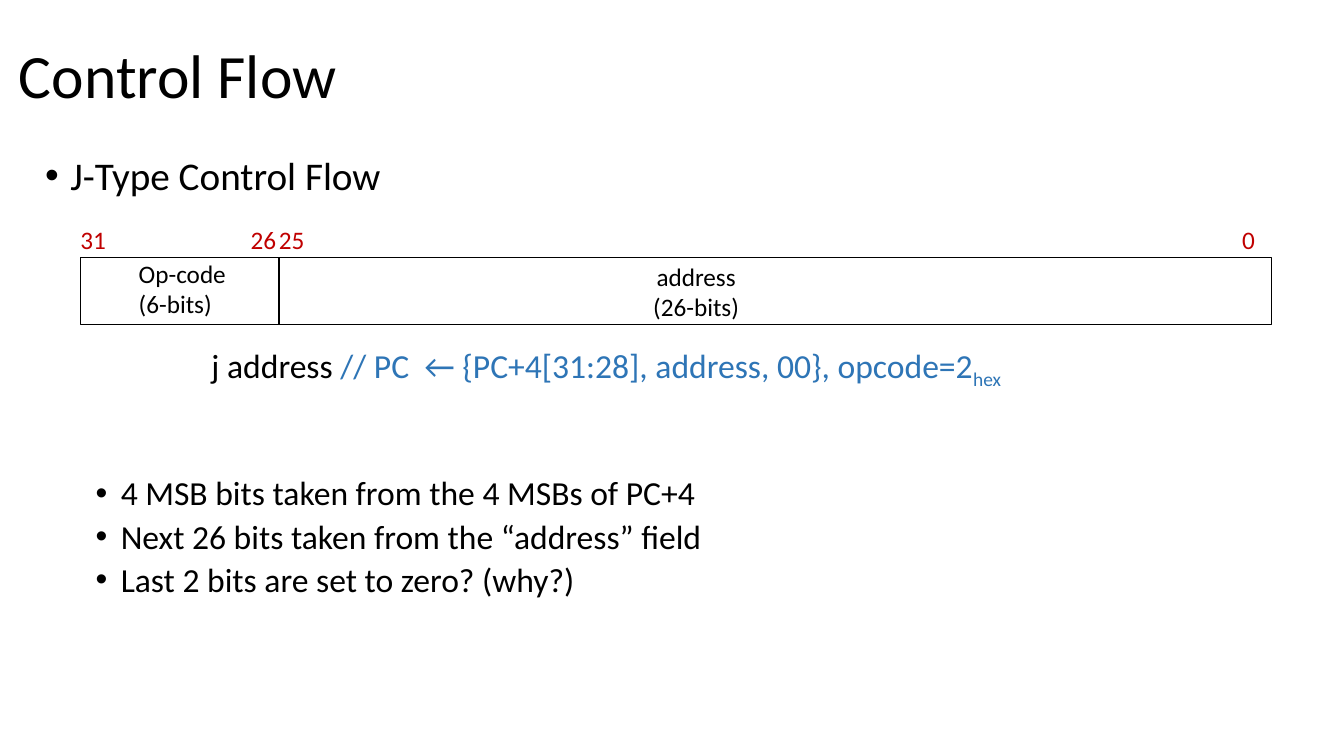
import dataclasses

import lxml.etree
import pptx
import pptx.dml.color
import pptx.enum.shapes
import pptx.enum.text
import pptx.oxml.ns
import pptx.util

Pt = pptx.util.Pt
ALIGN = pptx.enum.text.PP_ALIGN
ANCHOR = pptx.enum.text.MSO_ANCHOR


@dataclasses.dataclass(frozen=True)
class Theme:
    """Colours, font and type sizes of the slide."""
    font: str = "Calibri"
    ink: str = "000000"
    bit: str = "C00000"
    comment: str = "2E75B6"
    title: int = 44
    heading: int = 28
    body: int = 24
    label: int = 18


T = Theme()


def rgb(value):
    """Return the colour for a hex string."""
    return pptx.dml.color.RGBColor.from_string(value)


def add_bullet(p, indent):
    """Give a paragraph a hanging round bullet."""
    pPr = p._p.get_or_add_pPr()
    pPr.set("marL", str(Pt(indent)))
    pPr.set("indent", str(Pt(-18)))
    for tag, key, value in (("a:buFont", "typeface", "Arial"),
                            ("a:buChar", "char", "•")):
        lxml.etree.SubElement(pPr, pptx.oxml.ns.qn(tag)).set(key, value)


def add_text(s, box, paragraphs, *, size, color=T.ink, align=ALIGN.LEFT,
             anchor=ANCHOR.TOP, wrap=True, spacing=1.0, before=0,
             bullet=None, inset=7.2):
    """Add a text box; a paragraph is a string or a list of (text, colour, baseline)."""
    sp = s.shapes.add_textbox(*map(Pt, box))
    tf = sp.text_frame
    tf.word_wrap = wrap
    tf.vertical_anchor = anchor
    tf.margin_left = tf.margin_right = Pt(inset)
    for i, runs in enumerate(paragraphs):
        p = tf.add_paragraph() if i else tf.paragraphs[0]
        p.alignment = align
        p.line_spacing = spacing
        p.space_before = Pt(before)
        if bullet is not None:
            add_bullet(p, bullet)
        if isinstance(runs, str):
            runs = [(runs, color, 0)]
        for text, run_color, baseline in runs:
            r = p.add_run()
            r.text = text
            r.font.name = T.font
            r.font.size = Pt(size)
            r.font.color.rgb = rgb(run_color)
            if baseline:
                r._r.get_or_add_rPr().set("baseline", str(baseline * 1000))
    return sp


def add_title(s, box):
    """Add the slide title."""
    add_text(s, box, ["Control Flow"], size=T.title, anchor=ANCHOR.MIDDLE,
             spacing=0.9)


def add_points(s, box):
    """Add the heading and the points below the instruction."""
    x, y, w, h = box
    add_text(s, (x, y, w, 40), ["J-Type Control Flow"], size=T.heading,
             spacing=0.9, before=10, bullet=18)
    add_text(s, (x, y + 229, w, h - 229),
             ["4 MSB bits taken from the 4 MSBs of PC+4",
              "Next 26 bits taken from the “address” field",
              "Last 2 bits are set to zero? (why?)"],
             size=T.body, spacing=0.9, before=5, bullet=54)


def add_field(s, box, caption, caption_box, bits, low_gap, align):
    """Add one instruction field with its caption and bit numbers."""
    x, y, w, h = box
    sp = s.shapes.add_shape(pptx.enum.shapes.MSO_SHAPE.RECTANGLE, *map(Pt, box))
    sp.shadow.inherit = False
    sp.fill.background()
    sp.line.color.rgb = rgb(T.ink)
    sp.line.width = Pt(1)
    dx, dy, cw = caption_box
    add_text(s, (x + dx, y + dy, cw, 51), caption, size=T.label, align=align,
             wrap=False)
    high, low = bits
    for text, left, side in ((high, x, ALIGN.LEFT),
                             (low, x + w - low_gap - 30, ALIGN.RIGHT)):
        add_text(s, (left, y - 27.2, 30, 29), [text], size=T.label,
                 color=T.bit, align=side, inset=0)


def add_format(s, box):
    """Add the J-type instruction word as two adjoining fields."""
    x, y, w, h = box
    split = w / 6
    add_field(s, (x, y, split, h), ["Op-code", "(6-bits)"], (34.6, -2.9, 78),
              ("31", "26"), 2, ALIGN.LEFT)
    add_field(s, (x + split, y, w - split, h), ["address", "(26-bits)"],
              (260, -0.7, 76), ("25", "0"), 12, ALIGN.CENTER)


def add_instruction(s, box):
    """Add the jump instruction with its effect."""
    add_text(s, box, [[
        ("j address ", T.ink, 0),
        ("// PC  ← {PC+4[31:28], address, 00}, opcode=2", T.comment, 0),
        ("hex", T.comment, -25)]], size=T.body)


def main():
    """Build and save the slide."""
    prs = pptx.Presentation()
    prs.slide_width, prs.slide_height = Pt(960), Pt(540)
    s = prs.slides.add_slide(prs.slide_layouts[6])
    add_title(s, (6.5, 3.6, 828, 104.4))
    add_points(s, (25.2, 108, 828, 342.7))
    add_format(s, (57.4, 183.8, 851, 48.2))
    add_instruction(s, (144, 242.6, 592, 36))
    prs.save("out.pptx")


main()
